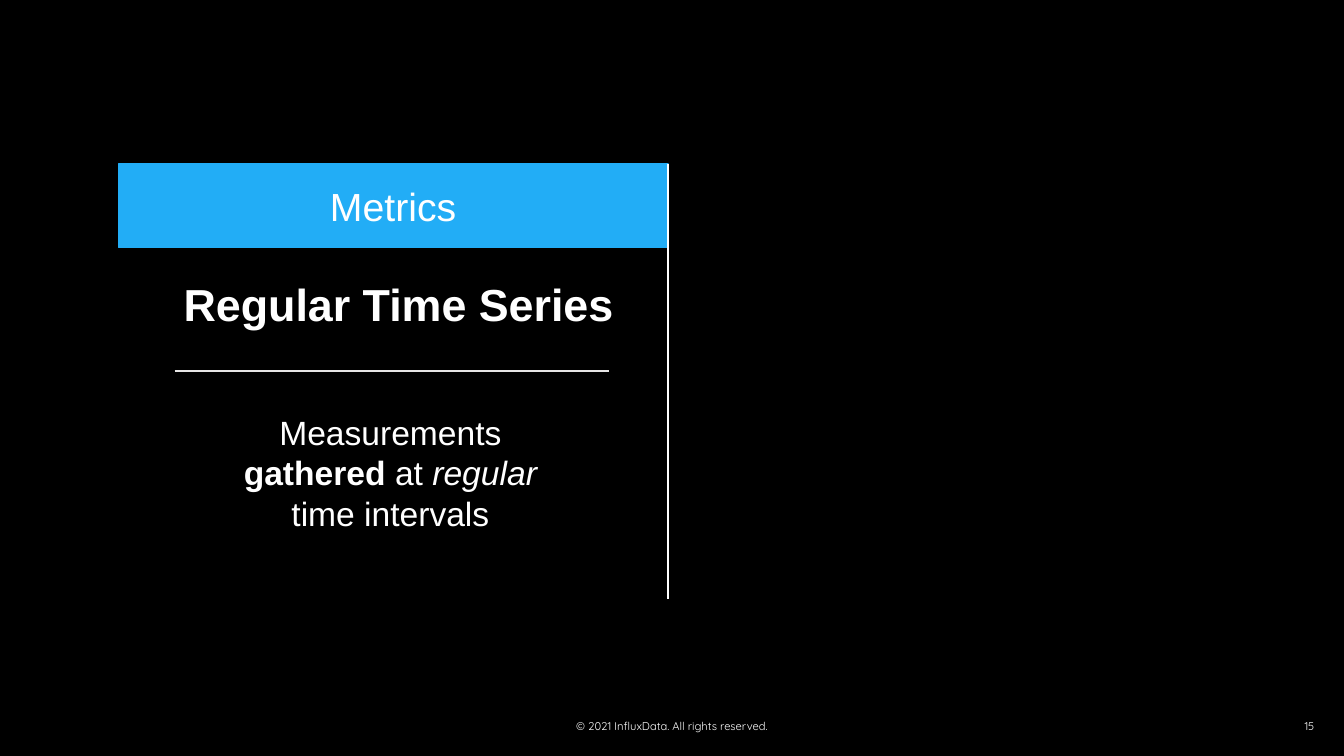
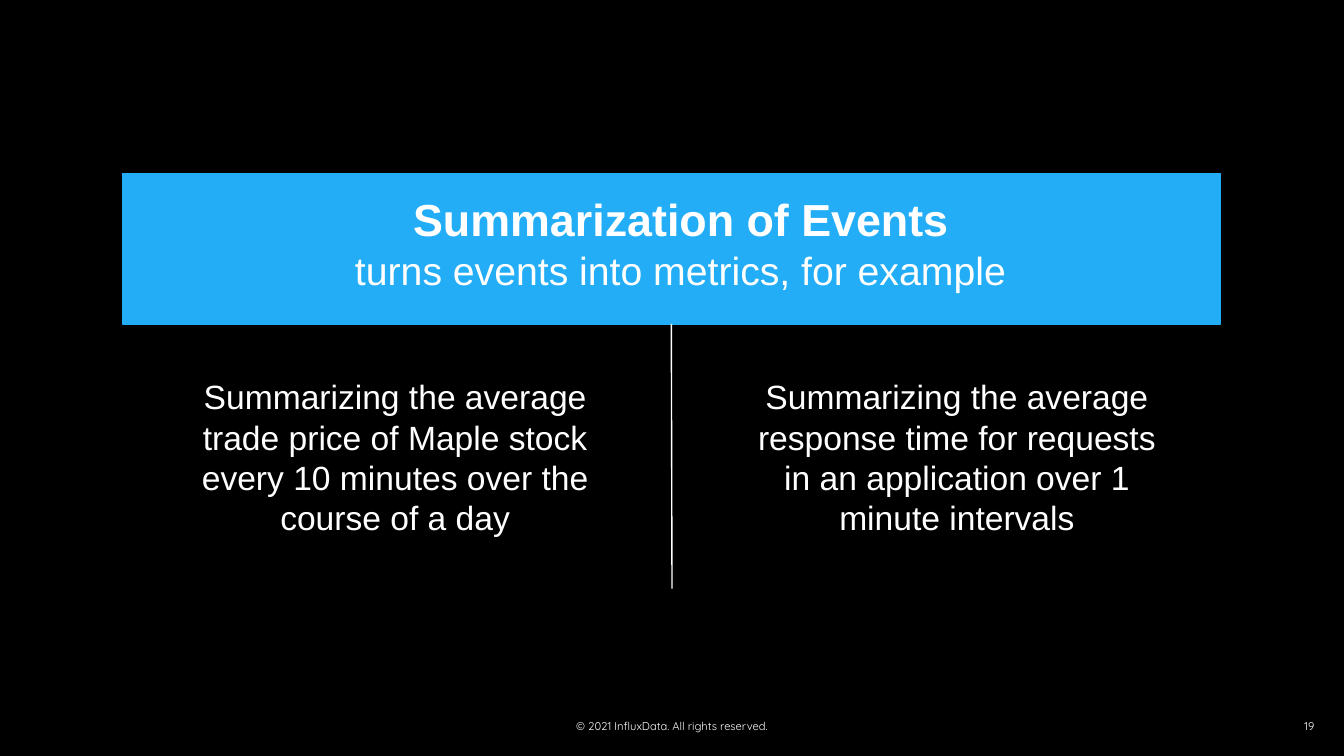
from dataclasses import dataclass
from typing import NamedTuple

from lxml.etree import SubElement as sub
from pptx import Presentation
from pptx.dml.color import RGBColor as Rgb
from pptx.enum.shapes import MSO_CONNECTOR as Conn, MSO_SHAPE as Geo
from pptx.enum.text import MSO_ANCHOR as Anchor, PP_ALIGN as Align
from pptx.oxml.ns import qn
from pptx.util import Inches, Pt

COLS, ROWS = 100, 56.25
WIDE, HIGH = Inches(10), Inches(5.625)


@dataclass(frozen=True)
class Theme:
    """Colours, fonts and type sizes of the deck."""

    back: str = "000000"
    ink: str = "FFFFFF"
    blue: str = "22ADF6"
    grey: str = "E7E6E6"
    face: str = "Arial"
    small: str = "Quicksand"
    title: float = 24
    head: float = 21
    body: float = 18
    foot: float = 6
    stroke: float = 0.75
    alpha: int = 74


class Box(NamedTuple):
    """Left, top, width and height in grid columns and rows."""

    x: float
    y: float
    w: float
    h: float


class Run(NamedTuple):
    """A stretch of text with its format values."""

    text: str
    size: float = 18
    form: dict = {}


@dataclass(frozen=True)
class Label:
    """A text box: its place, paragraphs and layout."""

    box: Box
    paras: list[list[Run]]
    pad: float = 0.1
    anchor: Anchor = Anchor.MIDDLE
    align: Align = Align.CENTER
    face: str = "Arial"


class Rule(NamedTuple):
    """A straight line between two grid points."""

    x1: float
    y1: float
    x2: float
    y2: float
    color: str


T = Theme()
BOLD, SLANT = {"bold": True}, {"italic": True}
FOOT = Label(Box(42.8, 53.5, 14.4, 1.4),
             [[Run("© 2021 InfluxData. All rights reserved.", T.foot)]],
             0, Anchor.TOP, face=T.small)


def col(n: float) -> int:
    """Turn columns into a length."""
    return round(n * WIDE / COLS)


def row(n: float) -> int:
    """Turn rows into a length."""
    return round(n * HIGH / ROWS)


def place(box: Box) -> tuple[int, int, int, int]:
    """Turn a grid box into lengths."""
    return col(box.x), row(box.y), col(box.w), row(box.h)


def put(item, form: dict) -> None:
    """Set each format value on an item."""
    for key, value in form.items():
        setattr(item, key, value)


def write(shapes, label: Label) -> None:
    """Draw a text box."""
    frame = shapes.add_textbox(*place(label.box)).text_frame
    pad = Inches(label.pad)
    put(frame, {"word_wrap": True, "vertical_anchor": label.anchor,
                "margin_left": pad, "margin_right": pad,
                "margin_top": pad, "margin_bottom": pad})
    for i, runs in enumerate(label.paras):
        para = frame.add_paragraph() if i else frame.paragraphs[0]
        para.alignment = label.align
        for run in runs:
            part = para.add_run()
            part.text = run.text
            put(part.font, {"name": label.face, "size": Pt(run.size), **run.form})
            part.font.color.rgb = Rgb.from_string(T.ink)


def block(shapes, box: Box, color: str):
    """Draw a filled rectangle without shadow."""
    shape = shapes.add_shape(Geo.RECTANGLE, *place(box))
    shape.shadow.inherit = False
    shape.fill.solid()
    shape.fill.fore_color.rgb = Rgb.from_string(color)
    return shape


def panel(shapes, box: Box) -> None:
    """Draw a see-through dark panel."""
    shape = block(shapes, box, T.back)
    shape.line.fill.background()
    tint = shape.fill._xPr.find(f".//{qn('a:srgbClr')}")
    sub(tint, qn("a:alpha"), val=str(T.alpha * 1000))


def band(shapes, box: Box):
    """Draw a blue heading band."""
    shape = block(shapes, box, T.blue)
    put(shape.line, {"width": Pt(T.stroke)})
    shape.line.color.rgb = Rgb.from_string(T.blue)
    return shape


def draw(shapes, rule: Rule):
    """Draw a thin line without shadow."""
    line = shapes.add_connector(Conn.STRAIGHT, col(rule.x1), row(rule.y1),
                                col(rule.x2), row(rule.y2))
    put(line.line, {"width": Pt(T.stroke)})
    line.line.color.rgb = Rgb.from_string(rule.color)
    sub(line._element.spPr, qn("a:effectLst"))
    return line


def start(deck):
    """Add a black slide with its footer."""
    slide = deck.slides.add_slide(deck.slide_layouts[6])
    fill = slide.background.fill
    fill.solid()
    fill.fore_color.rgb = Rgb.from_string(T.back)
    write(slide.shapes, FOOT)
    return slide.shapes


def number(shapes, page: int) -> None:
    """Write the page number."""
    write(shapes, Label(Box(96.3, 53, 2, 2), [[Run(str(page), T.foot)]],
                        0.05, align=Align.RIGHT, face=T.small))


def metrics(deck) -> None:
    """Build the slide on metrics."""
    shapes = start(deck)
    panel(shapes, Box(9, 18.4, 81.7, 26.4))
    write(shapes, Label(Box(9.4, 19.6, 40.5, 5.8),
                        [[Run("Regular Time Series", T.title, BOLD)]],
                        anchor=Anchor.TOP))
    write(shapes, Label(Box(15.6, 29.8, 26.9, 10.7), [[
        Run("Measurements "), Run("gathered", T.body, BOLD), Run(" at "),
        Run("regular", T.body, SLANT), Run(" time intervals")]]))
    group = shapes.add_group_shape().shapes
    band(group, Box(8.8, 12.2, 40.9, 6.2))
    write(group, Label(Box(9.2, 13.3, 40.1, 4), [[Run("Metrics", T.head)]], 0.04))
    draw(shapes, Rule(49.7, 12.2, 49.7, 44.6, T.ink))
    draw(shapes, Rule(13, 27.6, 45.3, 27.6, T.grey))
    number(shapes, 15)


def summary(deck) -> None:
    """Build the slide on summarizing events."""
    shapes = start(deck)
    panel(shapes, Box(9.1, 24.1, 81.7, 19.9))
    bar = band(shapes, Box(9.1, 12.9, 81.7, 11.2))
    draw(shapes, Rule(50, 24.1, 50, 43.8, T.ink)).begin_connect(bar, 2)
    write(shapes, Label(Box(13.3, 13.3, 74.7, 12.5), [
        [Run("Summarization of Events", T.title, BOLD)],
        [Run("turns events into metrics, for example", T.head)]],
        anchor=Anchor.TOP))
    cases = ("trade price of Maple stock every 10 minutes over the course of a day",
             "response time for requests in an application over 1 minute intervals")
    for i, case in enumerate(cases):
        write(shapes, Label(Box(13 + 41.8 * i, 27.2, 32.8, 13.6),
                            [[Run(f"Summarizing the average {case}", T.body)]]))
    number(shapes, 19)


def main() -> None:
    """Build and save the deck."""
    deck = Presentation()
    put(deck, {"slide_width": WIDE, "slide_height": HIGH})
    for build in (metrics, summary):
        build(deck)
    deck.save("out.pptx")


if __name__ == "__main__":
    main()
